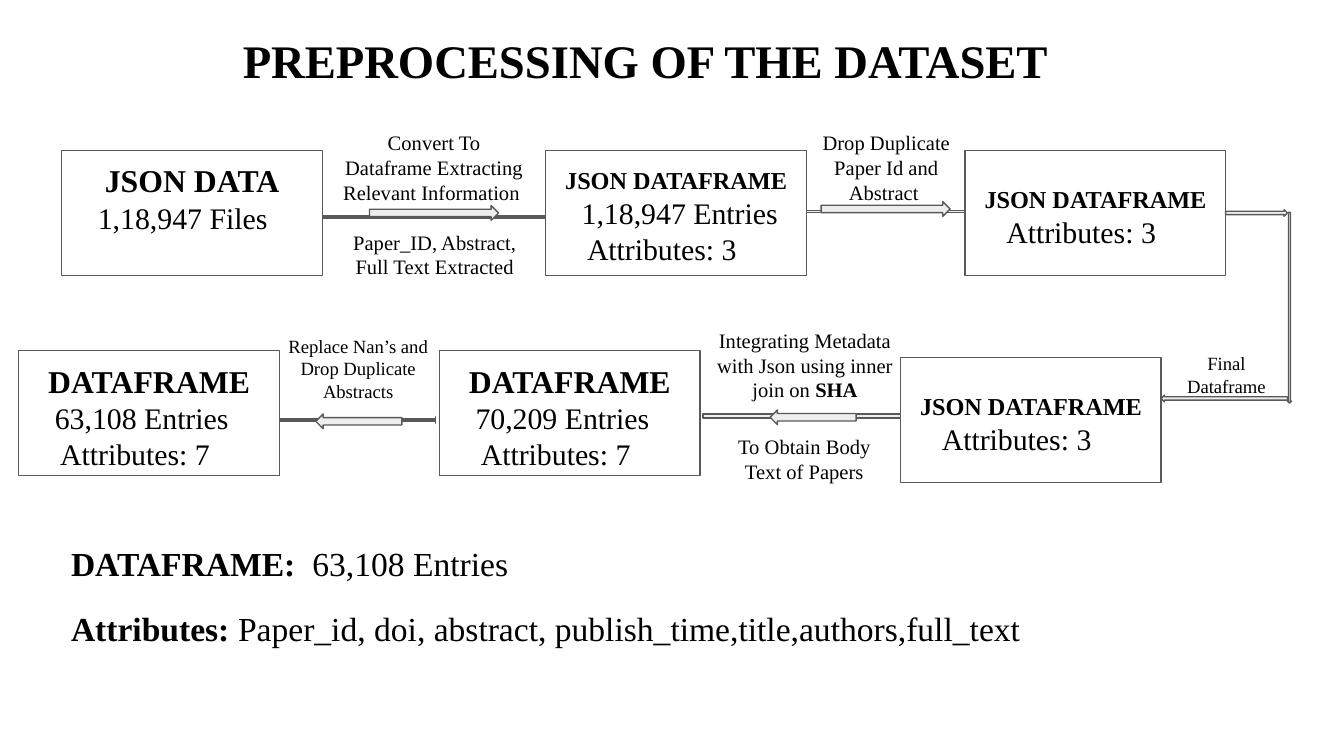
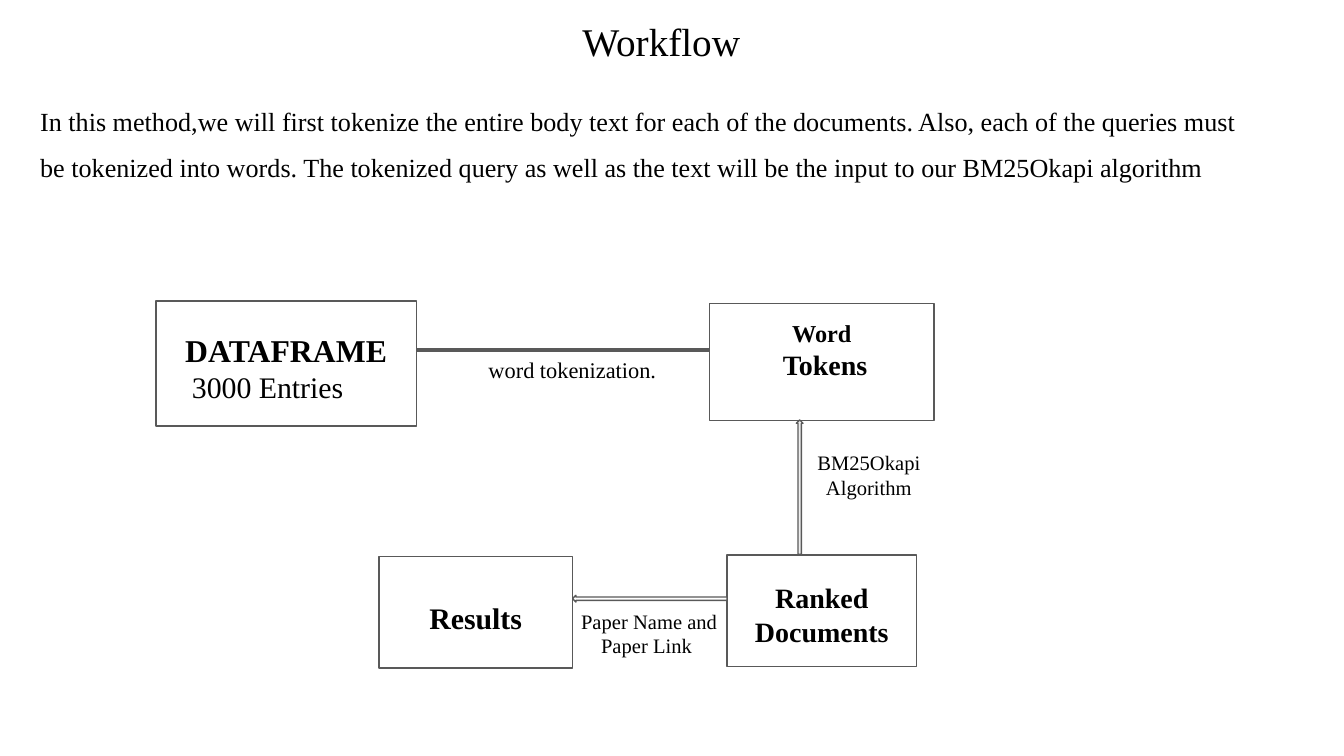
from dataclasses import dataclass
from pptx import Presentation
from pptx.dml.color import RGBColor
from pptx.enum.shapes import MSO_SHAPE as Shape
from pptx.enum.text import MSO_ANCHOR as Anchor, MSO_AUTO_SIZE as AutoSize, PP_ALIGN as Align
from pptx.util import Inches, Pt


@dataclass(frozen=True)
class Theme:
    font: str = "Times New Roman"
    ink: RGBColor = RGBColor(0, 0, 0)
    paper: RGBColor = RGBColor(255, 255, 255)
    arrow: RGBColor = RGBColor(0xEE, 0xEE, 0xEE)
    outline: RGBColor = RGBColor(0x59, 0x59, 0x59)
    line_width: float = 0.75
    title: int = 25
    subtitle: int = 21
    summary: int = 18
    heading: int = 17
    detail: int = 16
    medium: int = 15
    body: int = 14
    small_heading: int = 13
    caption: int = 12
    label: int = 11
    small_label: int = 10


theme = Theme()
INSET = 0.1
BOX_SIZE = (1.94, 0.93)


def write_text(shape, paragraphs, top_inset=INSET):
    """Each paragraph is (indent, spans); an indent of None centres it."""
    frame = shape.text_frame
    frame.word_wrap = True
    frame.auto_size = AutoSize.NONE
    frame.vertical_anchor = Anchor.TOP
    frame.margin_left = frame.margin_right = Inches(INSET)
    frame.margin_top, frame.margin_bottom = Inches(top_inset), 0
    for index, (indent, spans) in enumerate(paragraphs):
        para = frame.paragraphs[0] if index == 0 else frame.add_paragraph()
        para.alignment = Align.CENTER if indent is None else Align.LEFT
        if indent:
            para._p.get_or_add_pPr().set("marL", str(Inches(indent)))
        for text, size, bold in spans:
            span = para.add_run()
            span.text = text
            span.font.name = theme.font
            span.font.size = Pt(size)
            span.font.bold = bold
            span.font.color.rgb = theme.ink
    return frame


def draw_shape(page, kind, place, fill):
    shape = page.shapes.add_shape(kind, *map(Inches, place))
    shape.shadow.inherit = False
    shape.fill.solid()
    shape.fill.fore_color.rgb = fill
    shape.line.color.rgb = theme.outline
    shape.line.width = Pt(theme.line_width)
    return shape


# Widescreen deck, 16:9
deck = Presentation()
deck.slide_width = Inches(10)
deck.slide_height = deck.slide_width * 9 // 16

RIGHT, LEFT, DOWN = Shape.RIGHT_ARROW, Shape.LEFT_ARROW, Shape.DOWN_ARROW
THICK, THREE_SPACES, FOUR_SPACES = 0.05, 0.17, 0.21
HALF = (0.5, 0.5)    # full arrowhead
BAR = (0.33, 0)      # no arrowhead

# Arrows: kind, place, adjustments, fill, rotation
dataset_arrows = [
    (RIGHT, (2.4, 1.59, 1.66, THICK), BAR, theme.arrow, 0),
    (RIGHT, (6, 1.55, 1.18, THICK), BAR, theme.arrow, 0),
    (LEFT, (8.64, 2.94, 0.94, THICK), HALF, theme.arrow, 0),
    (RIGHT, (5.23, 3.07, 1.47, THICK), (0.58, 0), theme.arrow, 0),
    (RIGHT, (2.08, 3.1, 1.16, THICK), BAR, theme.arrow, 0),
    (RIGHT, (9.12, 1.56, 0.46, THICK), HALF, theme.arrow, 0),
    (DOWN, (9.58, 1.58, 0.03, 1.42), HALF, theme.arrow, 0),
    (RIGHT, (2.75, 1.53, 0.96, 0.11), HALF, theme.arrow, 0),
    (RIGHT, (6.11, 1.5, 0.96, 0.11), HALF, theme.arrow, 0),
    (LEFT, (5.73, 3.05, 0.64, 0.11), HALF, theme.arrow, 0),
    (LEFT, (2.35, 3.08, 0.64, 0.11), HALF, theme.arrow, 0),
]
workflow_arrows = [
    (RIGHT, (3.1, 2.58, 2.18, THICK), BAR, theme.arrow, 0),
    (LEFT, (4.26, 4.43, 1.15, THICK), HALF, theme.paper, 0),
    (LEFT, (5.45, 3.6, 1, THICK), HALF, theme.arrow, 90),
]

# Boxes: place, top inset, bold centred lines, indented detail lines
dataset_boxes = [
    ((0.46, 1.12, *BOX_SIZE), 0.08, [("JSON DATA", theme.heading)],
     [(THREE_SPACES, "1,18,947 Files")]),
    ((4.06, 1.12, *BOX_SIZE), 0.11, [("JSON DATAFRAME", theme.small_heading)],
     [(THREE_SPACES, "1,18,947 Entries"), (FOUR_SPACES, "Attributes: 3")]),
    ((7.18, 1.12, *BOX_SIZE), 0.25, [("JSON DATAFRAME", theme.small_heading)],
     [(FOUR_SPACES, "Attributes: 3")]),
    ((6.7, 2.66, *BOX_SIZE), 0.25, [("JSON DATAFRAME", theme.small_heading)],
     [(FOUR_SPACES, "Attributes: 3")]),
    ((3.27, 2.61, *BOX_SIZE), 0.08, [("DATAFRAME", theme.heading)],
     [(THREE_SPACES, "70,209 Entries"), (FOUR_SPACES, "Attributes: 7")]),
    ((0.14, 2.61, *BOX_SIZE), 0.08, [("DATAFRAME", theme.heading)],
     [(THREE_SPACES, "63,108 Entries"), (FOUR_SPACES, "Attributes: 7")]),
]
workflow_boxes = [
    ((1.16, 2.24, *BOX_SIZE), 0.22, [("DATAFRAME", theme.heading)],
     [(THREE_SPACES, "3000 Entries")]),
    ((5.28, 2.26, 1.67, 0.87), 0.11,
     [("Word", theme.small_heading), (" Tokens", theme.medium)], []),
    ((5.41, 4.13, 1.41, 0.83), 0.19, [("Ranked Documents", theme.medium)], []),
    ((2.82, 4.14, 1.44, 0.83), 0.32, [("Results", theme.detail)], []),
]

# Free text: place, line spacing, paragraphs
dataset_texts = [
    ((2.45, 0.87, 1.56, 0.63), 1, [
        (None, [("Convert To Dataframe Extracting Relevant Information ", theme.label, False)])]),
    ((2.5, 1.61, 1.47, 0.63), 1, [
        (None, [("Paper_ID, Abstract, Full Text Extracted", theme.label, False)])]),
    ((5.91, 0.87, 1.37, 0.63), 1, [
        (None, [("Drop Duplicate Paper Id and Abstract ", theme.label, False)])]),
    ((8.39, 2.52, 1.47, 0.44), 1, [
        (None, [("Final", theme.small_label, False)]),
        (None, [("Dataframe", theme.small_label, False)])]),
    ((5.21, 2.34, 1.56, 0.63), 1, [
        (None, [("Integrating Metadata with Json using inner join on ", theme.label, False),
                ("SHA", theme.label, True)])]),
    ((5.25, 3.13, 1.47, 0.63), 1, [
        (None, [("To Obtain Body Text of Papers", theme.label, False)])]),
    ((1.93, 2.39, 1.47, 0.93), 1, [
        (None, [("Replace Nan’s and Drop Duplicate Abstracts", theme.small_label, False)])]),
    ((0.43, 3.94, 3.49, 0.44), 1, [
        (0, [("DATAFRAME:  ", theme.summary, True), ("63,108 Entries", theme.summary, False)])]),
    ((0.43, 4.42, 9.15, 0.44), 1, [
        (0, [("Attributes: ", theme.summary, True),
             ("Paper_id, doi, abstract, publish_time,title,authors,full_text",
              theme.summary, False)])]),
]
workflow_texts = [
    ((0.2, 0.58, 9.32, 1.13), 1.46, [
        (0, [("In this method,we will first tokenize the entire body text for each of the "
              "documents. Also, each of the queries must be tokenized into words. The "
              "tokenized query as well as the text will be the input to our BM25Okapi "
              "algorithm", theme.body, False)])]),
    ((3.41, 2.55, 1.7, 0.34), 1, [
        (None, [("word tokenization.", theme.caption, False)])]),
    ((5.82, 3.25, 1.29, 0.93), 1, [
        (None, [("BM25Okapi Algorithm", theme.label, False)])]),
    ((4.11, 4.43, 1.44, 0.68), 1, [
        (None, [("Paper Name and Paper Link ", theme.label, False)])]),
]

slides = [
    (("PREPROCESSING OF THE DATASET", theme.title, True), (0.14, 0.14, 9.32, 0.63),
     dataset_arrows, dataset_boxes, dataset_texts),
    (("Workflow", theme.subtitle, False), (3.88, 0.03, 2.08, 0.48),
     workflow_arrows, workflow_boxes, workflow_texts),
]

for title_span, title_place, arrows, boxes, texts in slides:
    page = deck.slides.add_slide(deck.slide_layouts[5])
    page.background.fill.solid()
    page.background.fill.fore_color.rgb = theme.paper

    # Title
    title = page.shapes.title
    title.left, title.top, title.width, title.height = map(Inches, title_place)
    write_text(title, [(None, [title_span])])

    # Boxes
    for place, top_inset, headings, details in boxes:
        box = draw_shape(page, Shape.RECTANGLE, place, theme.paper)
        lines = [(None, [(text, size, True)]) for text, size in headings]
        lines += [(indent, [(text, theme.detail, False)]) for indent, text in details]
        write_text(box, lines, top_inset)

    # Arrows
    for kind, place, adjustments, fill, rotation in arrows:
        arrow = draw_shape(page, kind, place, fill)
        arrow.rotation = rotation
        for index, value in enumerate(adjustments):
            arrow.adjustments[index] = value

    # Labels and running text
    for place, spacing, paragraphs in texts:
        frame = write_text(page.shapes.add_textbox(*map(Inches, place)), paragraphs)
        for para in frame.paragraphs:
            para.line_spacing = spacing

deck.save("out.pptx")
